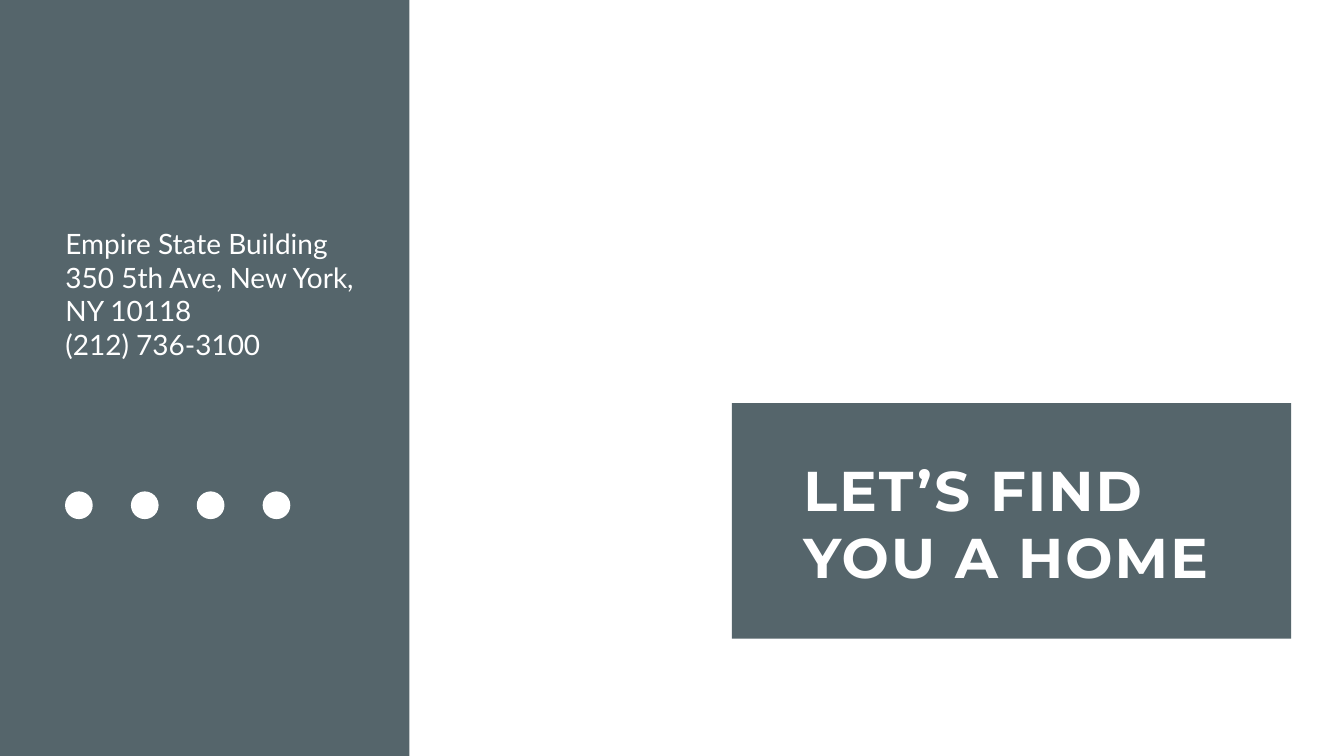
from pptx import Presentation
from pptx.dml.color import RGBColor
from pptx.enum.shapes import MSO_SHAPE
from pptx.enum.text import MSO_AUTO_SIZE
from pptx.util import Inches, Pt

RECTANGLE = MSO_SHAPE.RECTANGLE
OVAL = MSO_SHAPE.OVAL
FIT_SHAPE = MSO_AUTO_SIZE.SHAPE_TO_FIT_TEXT

SLATE = RGBColor(0x55, 0x65, 0x6B)
WHITE = RGBColor(0xFF, 0xFF, 0xFF)

ADDRESS = [
    "Empire State Building",
    "350 5th Ave, New York,",
    "NY 10118",
    "(212) 736-3100",
]


class Sheet:
    heading_font = "Montserrat"
    body_font = "Lato"

    def __init__(self, deck):
        self.width = deck.slide_width
        self.height = deck.slide_height
        self.slide = deck.slides.add_slide(deck.slide_layouts[6])
        background = self.slide.background.fill
        background.solid()
        background.fore_color.rgb = WHITE

    def place(self, left, top, width, height):
        return (
            round(self.width * left / 100),
            round(self.height * top / 100),
            round(self.width * width / 100),
            round(self.height * height / 100),
        )

    def block(self, kind, color, *percents):
        block = self.slide.shapes.add_shape(kind, *self.place(*percents))
        block.shadow.inherit = False
        block.fill.solid()
        block.fill.fore_color.rgb = color
        block.line.fill.background()

    def text(self, lines, font_name, size, *percents, bold=False, tracking=0):
        frame = self.slide.shapes.add_textbox(*self.place(*percents)).text_frame
        frame.word_wrap = True
        frame.auto_size = FIT_SHAPE
        frame.text = "\n".join(lines)
        for paragraph in frame.paragraphs:
            font = paragraph.font
            font.name = font_name
            font.size = Pt(size)
            font.bold = bold
            font.color.rgb = WHITE
            if tracking:
                for run in paragraph.runs:
                    run._r.get_or_add_rPr().set("spc", str(tracking * 100))

    def icon_row(self, count, left, top, step, width, height):
        for index in range(count):
            self.block(OVAL, WHITE, left + index * step, top, width, height)


def main():
    deck = Presentation()
    deck.slide_width = Inches(26.66)
    deck.slide_height = Inches(15)

    sheet = Sheet(deck)
    sheet.block(RECTANGLE, SLATE, 0, 0, 30.46, 100)
    sheet.block(RECTANGLE, SLATE, 54.46, 53.33, 41.6, 31.13)
    sheet.text(["LET’S FIND YOU A HOME"], sheet.heading_font, 80,
               59.41, 59.87, 33.08, 18.6, bold=True, tracking=3)
    sheet.text(ADDRESS, sheet.body_font, 40, 4.5, 29.67, 23.26, 18.6)
    sheet.icon_row(4, 4.84, 65, 4.9, 2.06, 3.67)

    deck.save("out.pptx")


if __name__ == "__main__":
    main()
